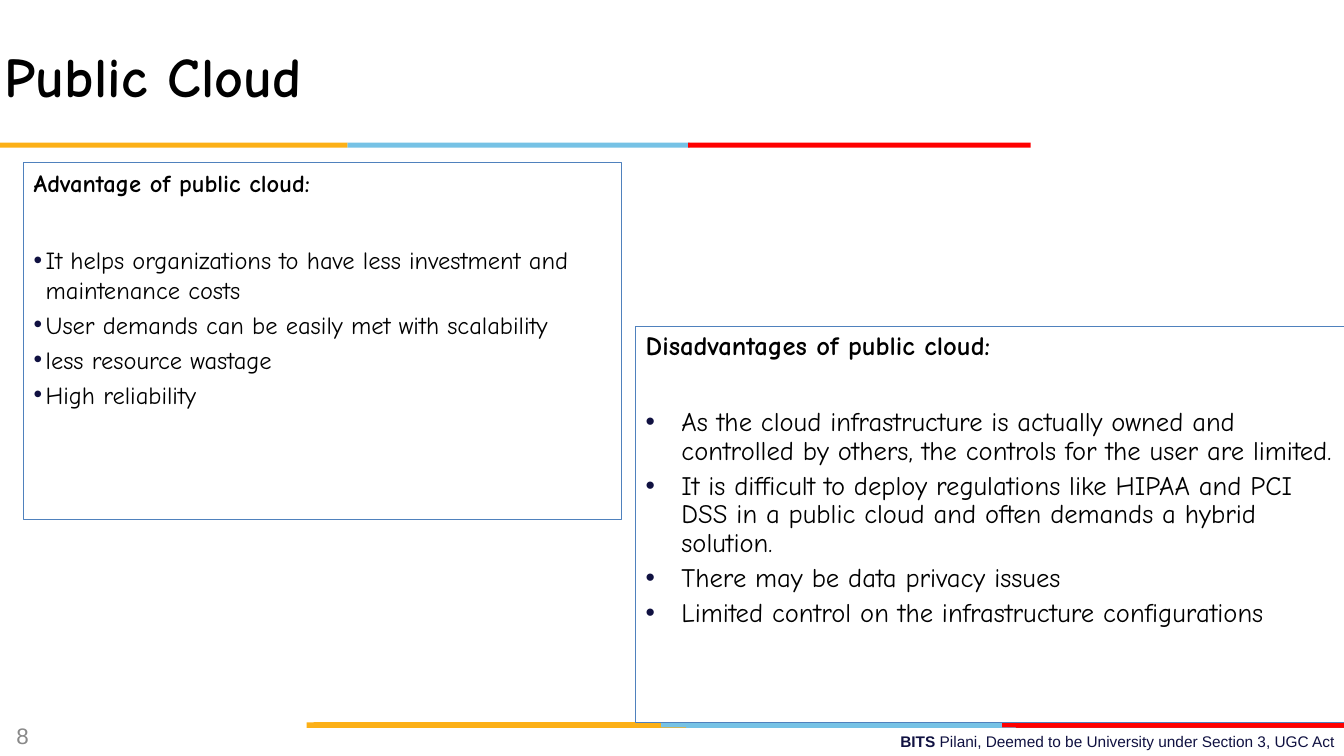
"""Build the Public Cloud slide with its advantages and disadvantages."""
from lxml import etree
from pptx import Presentation
from pptx.dml.color import RGBColor
from pptx.enum import shapes, text
from pptx.oxml import ns
from pptx.util import Pt

THEME = {
    "ink": "000000", "navy": "101141", "grey": "888888", "outline": "4F81BD",
    "amber": "FCB017", "sky": "76C2E5", "crimson": "E31C24", "red": "FF0000",
    "hand": "Comic Neue", "plain": "Arial",
    "title": 80, "number": 32, "footer": 22,
}
TITLE = "Public Cloud"
NUMBER = "8"
FOOTER = [("BITS ", True),
          ("Pilani, Deemed to be University under Section 3, UGC Act", False)]
STRIPES = [
    (1031.8, 7.9, [("sky", 972, 489), ("crimson", 1450.8, 469.4), ("amber", 437.8, 542.2)]),
    (1031.8, 7.2, [("sky", 943.9, 489), ("amber", 447.8, 496.1), ("red", 1431.4, 489)]),
    (203.8, 7.2, [("sky", 496.1, 489), ("amber", 0, 496.1), ("red", 982.8, 489)]),
]
PANELS = [
    {"at": (33.1, 232.6, 853.9, 509.8), "size": 35, "hang": 17, "leading": 1, "gap": 8,
     "heading": "Advantage of public cloud:",
     "points": ["It helps organizations to have less investment and maintenance costs",
                "User demands can be easily met with scalability",
                "less resource wastage",
                "High reliability"]},
    {"at": (907.2, 466.6, 1013, 565.9), "size": 38, "hang": 51, "leading": 0.9, "gap": 9,
     "heading": "Disadvantages of public cloud:",
     "points": ["As the cloud infrastructure is actually owned and controlled by others, "
                "the controls for the user are limited.",
                "It is difficult to deploy regulations like HIPAA and PCI DSS in a public "
                "cloud and often demands a hybrid solution.",
                "There may be data privacy issues",
                "Limited control on the infrastructure configurations"]},
]
HEADING_GAP = 68
TEXT_INSET = (8, 0.7)
MARGIN = 7.2


def color(key):
    return RGBColor.from_string(THEME[key])


def add_rect(slide, at, fill=None, line=None):
    rect = slide.shapes.add_shape(shapes.MSO_SHAPE.RECTANGLE, *map(Pt, at))
    rect.shadow.inherit = False
    if fill:
        rect.fill.solid()
        rect.fill.fore_color.rgb = color(fill)
    else:
        rect.fill.background()
    if line:
        rect.line.color.rgb = color(line)
        rect.line.width = Pt(1)
    else:
        rect.line.fill.background()


def add_frame(slide, at, anchor=text.MSO_ANCHOR.TOP, wrap=True):
    frame = slide.shapes.add_textbox(*map(Pt, at)).text_frame
    frame.word_wrap = wrap
    frame.vertical_anchor = anchor
    frame.margin_left = frame.margin_right = Pt(MARGIN)
    frame.margin_top = frame.margin_bottom = Pt(MARGIN)
    return frame


def add_run(paragraph, words, size, ink="ink", face="hand", bold=False):
    run = paragraph.add_run()
    run.text = words
    run.font.size = Pt(size)
    run.font.name = THEME[face]
    run.font.bold = bold
    run.font.color.rgb = color(ink)


def add_bullet(paragraph, hang):
    props = paragraph._p.get_or_add_pPr()
    props.set("marL", str(Pt(hang)))
    props.set("indent", str(-Pt(hang)))
    tint = etree.SubElement(props, ns.qn("a:buClr"))
    etree.SubElement(tint, ns.qn("a:srgbClr"), val=THEME["navy"])
    etree.SubElement(props, ns.qn("a:buFont"), typeface=THEME["plain"])
    etree.SubElement(props, ns.qn("a:buChar"), char="•")


def add_panel(slide, panel):
    left, top, width, height = panel["at"]
    add_rect(slide, panel["at"], line="outline")
    dx, dy = TEXT_INSET
    frame = add_frame(slide, (left + dx, top + dy, width - 2 * dx, height - 2 * dy))
    heading = frame.paragraphs[0]
    heading.line_spacing = panel["leading"]
    add_run(heading, panel["heading"], panel["size"], bold=True)
    for index, words in enumerate(panel["points"]):
        point = frame.add_paragraph()
        point.line_spacing = panel["leading"]
        point.space_before = Pt(panel["gap"] if index else HEADING_GAP)
        add_bullet(point, panel["hang"])
        add_run(point, words, panel["size"])


def main():
    deck = Presentation()
    deck.slide_width, deck.slide_height = Pt(1919.52), Pt(1080)
    slide = deck.slides.add_slide(deck.slide_layouts[6])

    footer = add_frame(slide, (695.5, 1039, 1217.5, 41)).paragraphs[0]
    footer.alignment = text.PP_ALIGN.RIGHT
    for words, bold in FOOTER:
        add_run(footer, words, THEME["footer"], "navy", "plain", bold)

    for top, height, bars in STRIPES:
        for fill, left, width in bars:
            add_rect(slide, (left, top, width, height), fill)

    middle = text.MSO_ANCHOR.MIDDLE
    number = add_frame(slide, (16.5, 1024.5, 160.5, 52.5), middle, wrap=False)
    number.paragraphs[0].alignment = text.PP_ALIGN.LEFT
    add_run(number.paragraphs[0], NUMBER, THEME["number"], "grey", "plain")
    title = add_frame(slide, (0, 18, 1728, 180), middle)
    add_run(title.paragraphs[0], TITLE, THEME["title"], bold=True)

    for panel in PANELS:
        add_panel(slide, panel)
    deck.save("out.pptx")


if __name__ == "__main__":
    main()
